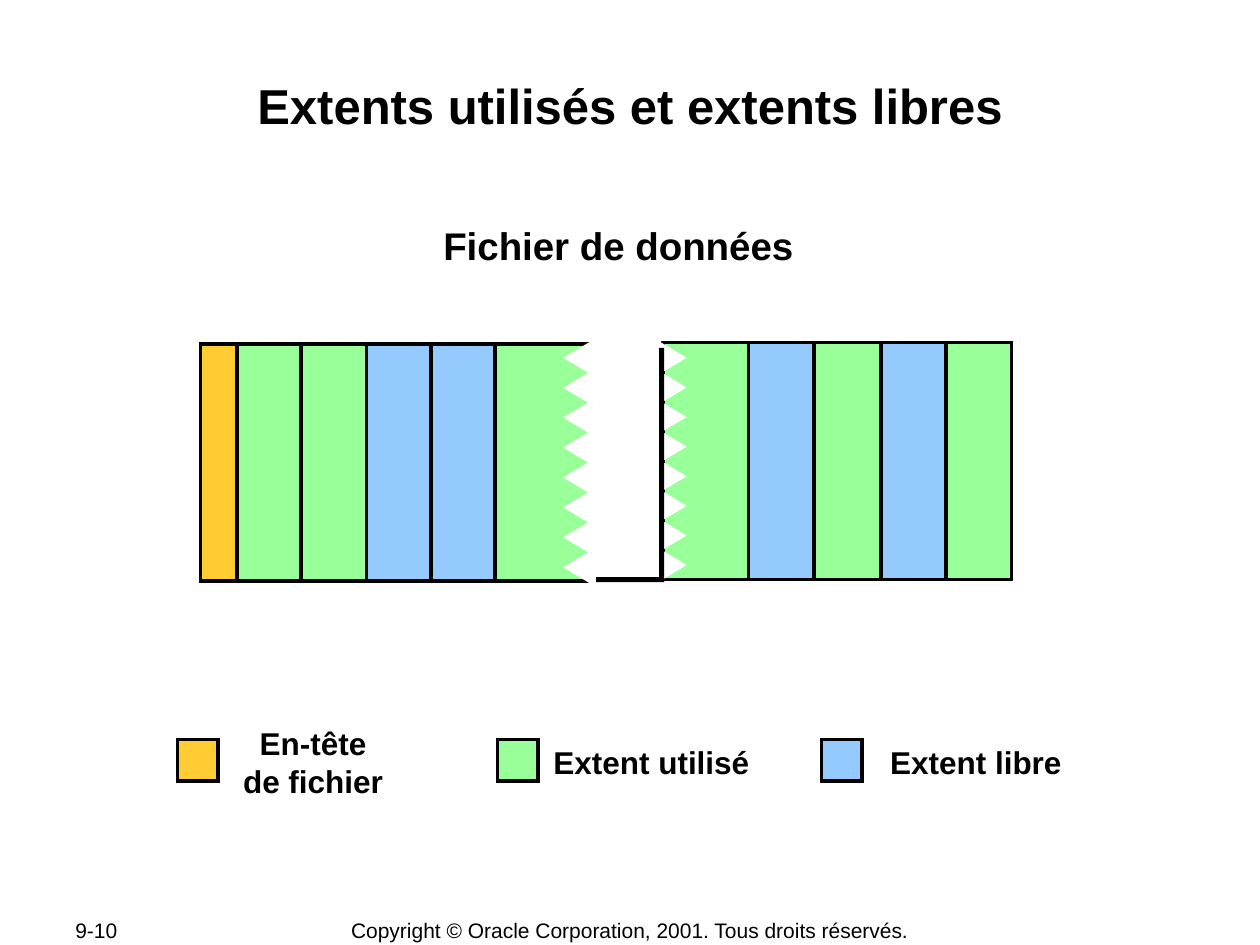
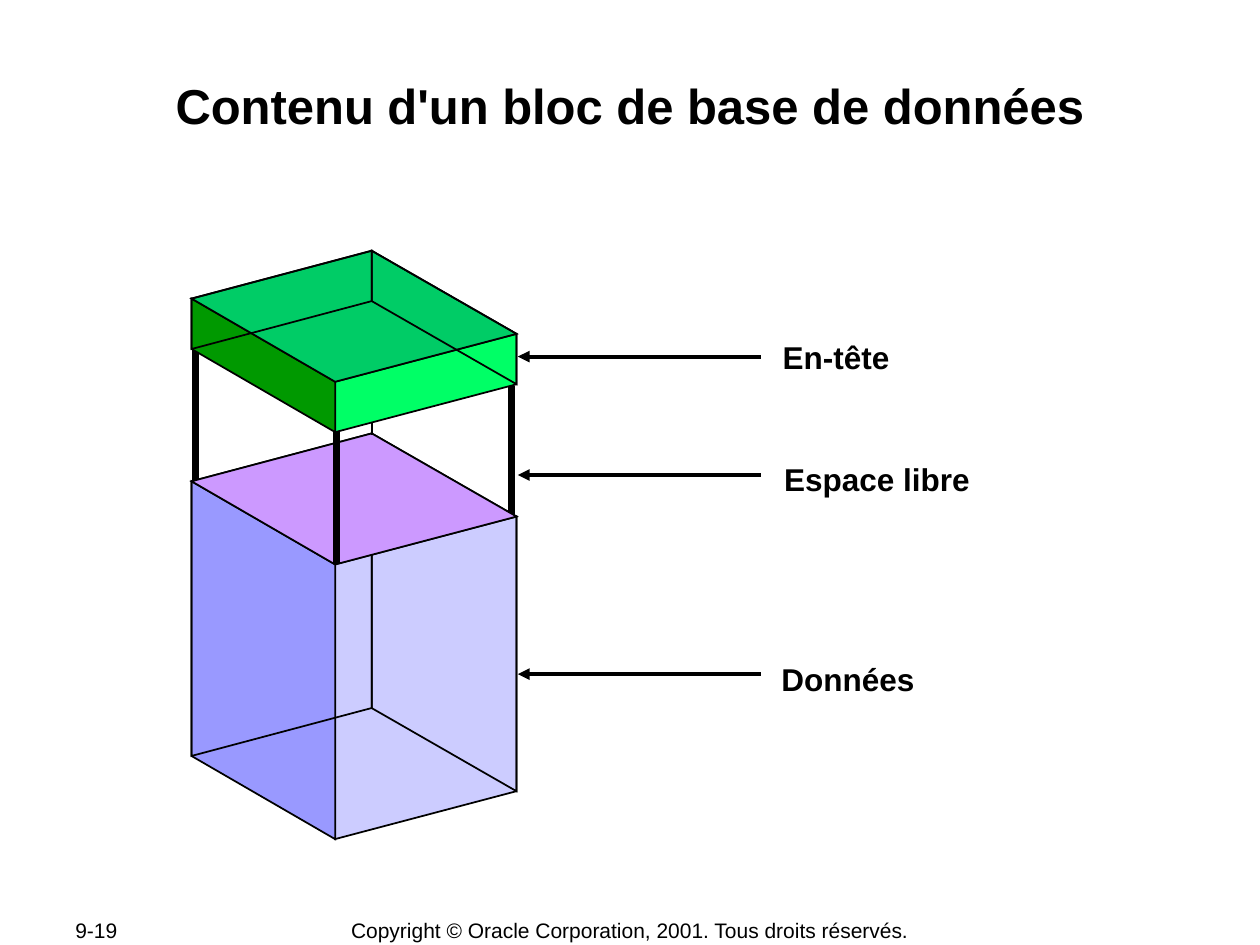
from dataclasses import dataclass
from lxml import etree
from pptx import Presentation
from pptx import util as u
from pptx.dml.color import RGBColor
from pptx.enum import shapes, text
from pptx.oxml.ns import qn

# Content
COPY = "Copyright © Oracle Corporation, 2001. Tous droits réservés."
FILE = {
    "page": "9-10",
    "title": "Extents utilisés et extents libres",
    "sub": "Fichier de données",
    # each part: left, top, then (kind, width) of its cells
    "parts": [
        (1.59, 2.73, [("head", .29), ("used", .51), ("used", .52),
                      ("free", .51), ("free", .51), ("used", .75)]),
        (5.26, 2.72, [("used", .68), ("free", .52), ("used", .53),
                      ("free", .52), ("used", .52)]),
    ],
    # torn edges: base, tip, left of the backing strip, tooth step
    "edges": [(4.68, 4.48, 4.68, 1.9 / 8), (5.24, 5.44, 5.18, 1.88 / 8)],
    # legend: kind, swatch left, label, label box
    "legend": [
        ("head", 1.41, "En-tête\vde fichier", (1.65, 5.7, 1.67, .69)),
        ("used", 3.95, "Extent utilisé", (4.28, 5.85, 1.78, .39)),
        ("free", 6.52, "Extent libre", (6.9, 5.85, 1.69, .39)),
    ],
}
BLOCK = {
    "page": "9-19",
    "title": "Contenu d'un bloc de base de données",
    # label, its top, its width, height of its arrow
    "labels": [("En-tête", 2.63, 1.05, 2.83),
               ("Espace libre", 3.6, 1.7, 3.77),
               ("Données", 5.19, 1.24, 5.35)],
    # box: top and bottom of its back edge, colours of right, left and lid
    "data": (3.44, 5.62, "CCCCFF", "9999FF", "CC99FF"),
    "head": (1.99, 2.39, "00FF66", "009900", "00CC66"),
}
# Corners of a box seen from above: x, drop below the back corner
BACK, RIGHT, FRONT, LEFT = (2.95, 0), (4.1, .66), (2.66, 1.04), (1.52, .38)


@dataclass(frozen=True)
class Theme:
    font: str = "Arial"
    ink: str = "000000"
    paper: str = "FFFFFF"
    head: str = "FFCC33"
    used: str = "99FF99"
    free: str = "95CAFF"
    title: int = 28
    sub: int = 22
    label: int = 18
    foot: int = 12


T = Theme()


# Drawing helpers
def rgb(code):
    return RGBColor.from_string(code)


def paint(shape, fill=None, line=None, width=1):
    shape.shadow.inherit = False
    if fill:
        shape.fill.solid()
        shape.fill.fore_color.rgb = rgb(fill)
    else:
        shape.fill.background()
    if line:
        shape.line.color.rgb = rgb(line)
        shape.line.width = u.Pt(width)
        etree.SubElement(shape.line._get_or_add_ln(), qn("a:miter"),
                         lim="800000")
    else:
        shape.line.fill.background()
    return shape


def rect(slide, box, **style):
    shape = slide.shapes.add_shape(shapes.MSO_SHAPE.RECTANGLE,
                                   *map(u.Inches, box))
    return paint(shape, **style)


def poly(slide, points, **style):
    dots = [(u.Inches(x), u.Inches(y)) for x, y in points]
    pen = slide.shapes.build_freeform(*dots[0], scale=1.0)
    pen.add_line_segments(dots[1:], close=True)
    return paint(pen.convert_to_shape(), **style)


def line(slide, start, end, width, arrow=False):
    link = slide.shapes.add_connector(shapes.MSO_CONNECTOR.STRAIGHT,
                                      *map(u.Inches, start + end))
    link.line.color.rgb = rgb(T.ink)
    link.line.width = u.Pt(width)
    props = link._element.spPr
    if arrow:
        etree.SubElement(link.line._get_or_add_ln(), qn("a:headEnd"),
                         type="triangle")
    etree.SubElement(props, qn("a:effectLst"))


def write(slide, words, box, size=T.label, bold=True, align="CENTER",
          wrap=False, pad=(.09, .05), anchor="TOP"):
    frame = slide.shapes.add_textbox(*map(u.Inches, box)).text_frame
    frame.word_wrap = wrap
    frame.margin_left = frame.margin_right = u.Inches(pad[0])
    frame.margin_top = frame.margin_bottom = u.Inches(pad[1])
    frame.vertical_anchor = getattr(text.MSO_ANCHOR, anchor)
    para = frame.paragraphs[0]
    para.text = words
    para.alignment = getattr(text.PP_ALIGN, align)
    para.font.name, para.font.size = T.font, u.Pt(size)
    para.font.bold, para.font.color.rgb = bold, rgb(T.ink)


def start(deck, data):
    """Add a slide with its title and footer."""
    slide = deck.slides.add_slide(deck.slide_layouts[6])
    foot = dict(size=T.foot, bold=False, wrap=True, pad=(.1, .05),
                anchor="MIDDLE")
    write(slide, data["page"], (.5, 7.28, 1.06, .2), align="LEFT", **foot)
    write(slide, COPY, (2.5, 7.28, 5, .21), **foot)
    write(slide, data["title"], (1, .59, 8, .96), size=T.title, wrap=True,
          pad=(.01, .01))
    return slide


# Slide: extents of a data file
def extents(deck):
    slide = start(deck, FILE)
    write(slide, FILE["sub"], (3.42, 1.71, 3.07, .47), size=T.sub,
          align="LEFT", wrap=True, pad=(.1, .05))
    edge = dict(line=T.ink, width=2)
    for x, top, cells in FILE["parts"]:
        for kind, wide in cells:
            rect(slide, (x, top, wide, 1.88), fill=getattr(T, kind), **edge)
            x += wide

    # Torn edges
    white = dict(fill=T.paper, line=T.paper, width=.75)
    for base, tip, strip, step in FILE["edges"]:
        for i in range(8):
            y = 2.72 + i * step
            rect(slide, (strip, y, .06, step), **white)
            poly(slide, [(base, y + .24), (tip, y + .12), (base, y)],
                 **white)

    # Gap with a hard shadow
    gap = rect(slide, (4.69, 2.72, .54, 1.86), fill=T.paper)
    effects = gap._element.spPr.find(qn("a:effectLst"))
    shade = etree.SubElement(effects, qn("a:outerShdw"), blurRad="0",
                             dist=str(u.Pt(4.2)), dir="2700000",
                             algn="ctr", rotWithShape="0")
    etree.SubElement(shade, qn("a:srgbClr"), val=T.ink)

    # Legend
    for kind, x, words, box in FILE["legend"]:
        write(slide, words, box)
        rect(slide, (x, 5.87, .32, .33), fill=getattr(T, kind), **edge)


# Slide: contents of a block
def lid(y):
    return [(x, y + drop) for x, drop in (BACK, RIGHT, FRONT, LEFT)]


def side(one, two, top, base):
    return [(one[0], top + one[1]), (one[0], base + one[1]),
            (two[0], base + two[1]), (two[0], top + two[1])]


def prism(slide, top, base, right, left, cover):
    faces = [(side(RIGHT, FRONT, top, base), right),
             (side(LEFT, FRONT, top, base), left),
             (lid(top), cover),
             (side(BACK, RIGHT, top, base), None),
             (side(BACK, LEFT, top, base), None)]
    if top == BLOCK["data"][0]:  # the data lid hides its back edges
        faces.append(faces.pop(2))
    for points, fill in faces:
        poly(slide, points, fill=fill, line=T.ink)


def block(deck):
    slide = start(deck, BLOCK)
    for words, top, wide, y in BLOCK["labels"]:
        write(slide, words, (6.11, top, wide, .39))
        line(slide, (4.11, y), (6.04, y), 2.25, arrow=True)

    # Posts behind and in front of the data box
    line(slide, (1.55, 2.76), (1.55, 3.83), 4)
    line(slide, (4.06, 3.06), (4.06, 4.09), 4)
    prism(slide, *BLOCK["data"])
    line(slide, (2.67, 3.41), (2.67, 4.48), 4)
    line(slide, (2.95, 2.7), (2.95, 3.45), 1)
    prism(slide, *BLOCK["head"])


def main():
    deck = Presentation()
    deck.slide_width, deck.slide_height = u.Inches(10), u.Inches(7.5)
    extents(deck)
    block(deck)
    deck.save("out.pptx")


if __name__ == "__main__":
    main()
